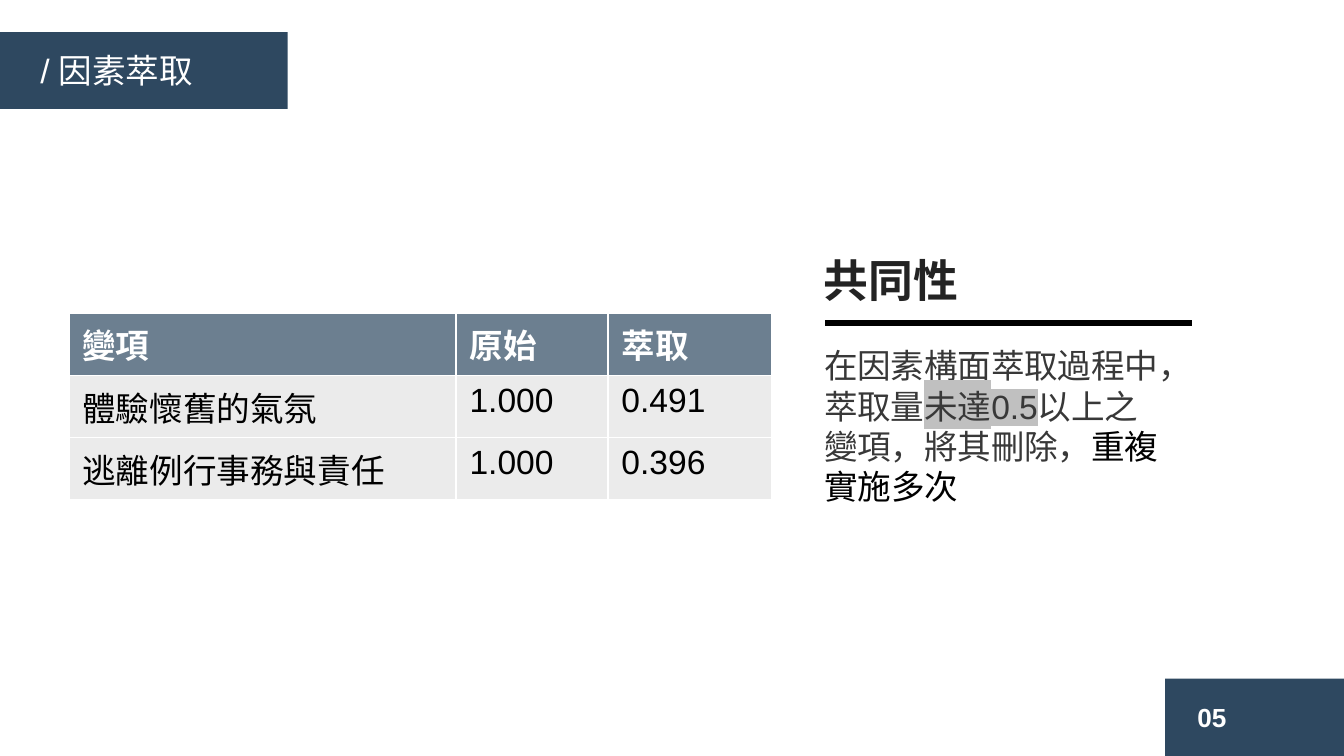
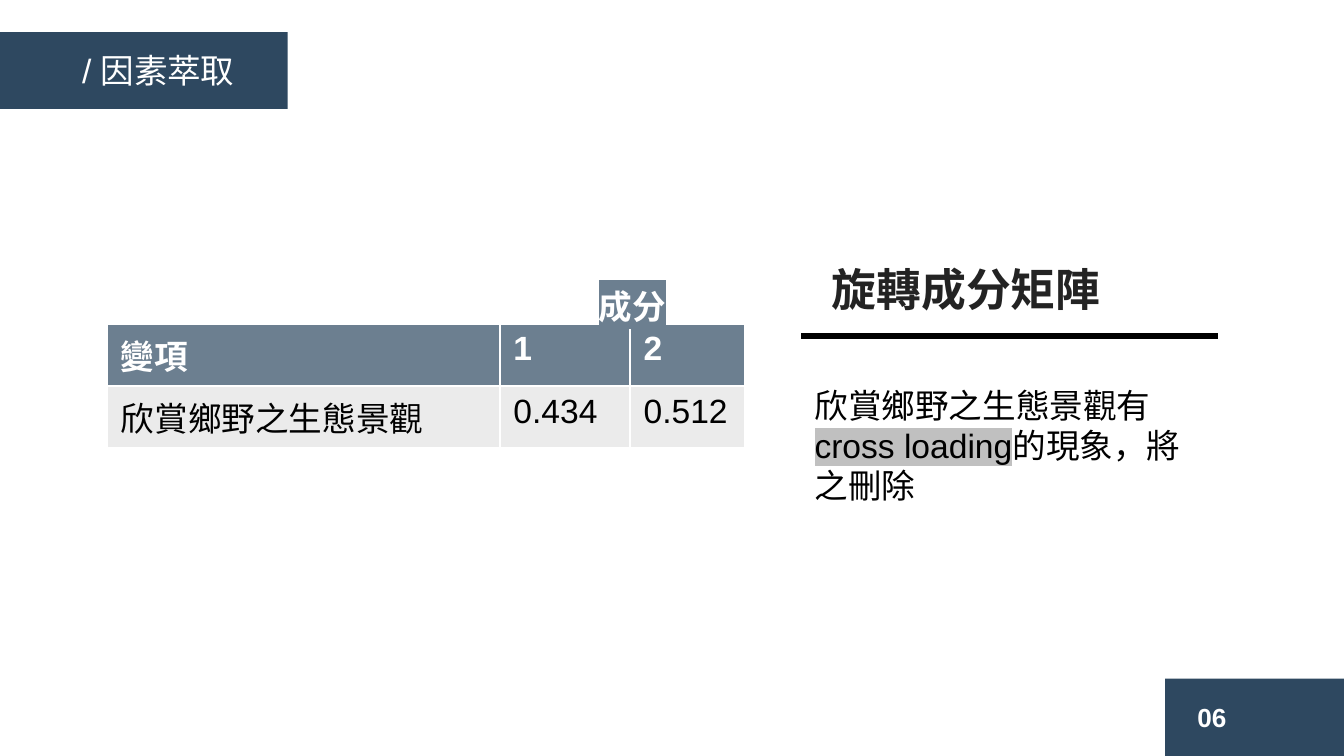
from dataclasses import dataclass

from lxml.etree import SubElement
from pptx import Presentation
from pptx.dml.color import RGBColor as RGB
from pptx.enum.shapes import MSO_CONNECTOR as Connector, MSO_SHAPE as Shape
from pptx.enum.text import MSO_ANCHOR as Anchor, MSO_AUTO_SIZE as AutoSize, PP_ALIGN as Align
from pptx.oxml.ns import qn
from pptx.util import Cm, Pt


@dataclass(frozen=True)
class Theme:
    font: str = "Arial"
    navy: str = "2E4860"
    header: str = "6C7F90"
    row: str = "EBEBEB"
    mark: str = "C0C0C0"
    white: str = "FFFFFF"
    black: str = "000000"
    heading: str = "232323"
    soft: str = "383838"
    heading_size: int = 24
    text_size: int = 18
    page_size: int = 14


theme = Theme()
frame_format = {"word_wrap": True, "auto_size": AutoSize.NONE, "vertical_anchor": Anchor.TOP}
paragraph_format = {"alignment": Align.LEFT, "space_before": Pt(0), "line_spacing": 1.0}


def write(frame, runs, color, size=theme.text_size, bold=False):
    paragraph = frame.paragraphs[0]
    for target, values in ((frame, frame_format), (paragraph, paragraph_format)):
        for name, value in values.items():
            setattr(target, name, value)
    for text, changes in runs:
        run = paragraph.add_run()
        run.text = text
        for name, value in {"name": theme.font, "size": Pt(size), "bold": bold}.items():
            setattr(run.font, name, value)
        run.font.color.rgb = RGB.from_string(changes.get("color", color))
        properties = run._r.get_or_add_rPr()
        if "spacing" in changes:
            properties.set("spc", str(changes["spacing"]))
        if "mark" in changes:
            highlight = SubElement(properties, qn("a:highlight"))
            SubElement(highlight, qn("a:srgbClr")).set("val", changes["mark"])
            properties.find(qn("a:solidFill")).addnext(highlight)


def place(shape, box):
    for name, value in zip(("left", "top", "width", "height"), box):
        setattr(shape, name, Cm(value))
    return shape.text_frame


tight = {"spacing": -10}
marked = {"mark": theme.mark}
row_height = 1.02

pages = [
    {
        "number": "05",
        "title_box": (0.51, 0.81, 8.51, 1.02),
        "heading": "共同性",
        "heading_box": (15.32, 4.65, 10.92, 1.27),
        "rule": (15.6, 22.53, 6.1),
        "body_box": (15.32, 6.4, 6.93, 3.33),
        "body_color": theme.soft,
        "body": [
            ("在因素構面萃取過程中，萃取量", tight),
            ("未達0.5", {**tight, **marked}),
            ("以上之變項，將其刪除，", tight),
            ("重複實施多次", {"color": theme.black}),
        ],
        "table_at": (1.3, 5.92),
        "columns": (7.32, 2.87, 3.1),
        "rows": [
            ("變項", "原始", "萃取"),
            ("體驗懷舊的氣氛", "1.000", "0.491"),
            ("逃離例行事務與責任", "1.000", "0.396"),
        ],
    },
    {
        "number": "06",
        "title_box": (1.3, 0.81, 4.62, 1.02),
        "heading": "旋轉成分矩陣",
        "heading_box": (15.47, 4.83, 10.92, 1.27),
        "rule": (15.14, 23.01, 6.35),
        "body_box": (15.14, 7.14, 7.59, 2.57),
        "body_color": theme.black,
        "body": [
            ("欣賞鄉野之生態景觀有", {}),
            ("cross loading", marked),
            ("的現象，將之刪除", {}),
        ],
        "table_at": (2.03, 6.12),
        "columns": (7.42, 2.46, 2.16),
        "rows": [
            ("變項", "1", "2"),
            ("欣賞鄉野之生態景觀", "0.434", "0.512"),
        ],
        "group_label": ("成分", (11.07, 5.28, 4.88, 1.02)),
    },
]

deck = Presentation()
deck.slide_width, deck.slide_height = Cm(25.4), Cm(14.29)

for page in pages:
    slide = deck.slides.add_slide(deck.slide_layouts[1])
    shapes = slide.shapes

    bands = ((22.02, 12.83, 3.38, 1.46), (0, 0.61, 5.44, 1.45))
    for order, box in enumerate(bands):
        band = shapes.add_shape(Shape.RECTANGLE, *map(Cm, box))
        band.shadow.inherit = False
        band.fill.solid()
        band.fill.fore_color.rgb = RGB.from_string(theme.navy)
        band.line.fill.background()
        shapes.element.insert(2 + order, band.element)

    write(place(shapes.title, page["title_box"]), [("/ 因素萃取", tight)], theme.white)

    body = place(slide.placeholders[1], page["body_box"])
    write(body, page["body"], page["body_color"])
    body_properties = body.paragraphs[0]._p.get_or_add_pPr()
    for name in ("marL", "indent"):
        body_properties.set(name, "0")
    SubElement(body_properties, qn("a:buNone"))

    labels = [
        (page["number"], (22.38, 13.13, 1.27, 0.86), theme.white, theme.page_size, {}),
        (page["heading"], page["heading_box"], theme.heading, theme.heading_size, {}),
    ]
    if "group_label" in page:
        label, box = page["group_label"]
        labels.append((label, box, theme.white, theme.text_size, {"mark": theme.header}))

    left, right, height = page["rule"]
    rule = shapes.add_connector(Connector.STRAIGHT, Cm(left), Cm(height), Cm(right), Cm(height))
    rule.line.color.rgb = RGB.from_string(theme.black)
    rule.line.width = Pt(3)
    SubElement(rule.element.spPr, qn("a:effectLst"))

    rows, columns = page["rows"], page["columns"]
    extent = (*page["table_at"], sum(columns), row_height * len(rows))
    factors = shapes.add_table(len(rows), len(columns), *map(Cm, extent)).table
    factors.horz_banding = False
    for column, width in zip(factors.columns, columns):
        column.width = Cm(width)
    for row_index, values in enumerate(rows):
        is_header = row_index == 0
        factors.rows[row_index].height = Cm(row_height)
        for column_index, value in enumerate(values):
            cell = factors.cell(row_index, column_index)
            cell.fill.solid()
            cell.fill.fore_color.rgb = RGB.from_string(theme.header if is_header else theme.row)
            color = theme.white if is_header else theme.black
            write(cell.text_frame, [(value, {})], color, bold=is_header)

    for text, box, color, size, changes in labels:
        label_frame = shapes.add_textbox(*map(Cm, box)).text_frame
        write(label_frame, [(text, changes)], color, size, bold=True)

deck.save("out.pptx")
